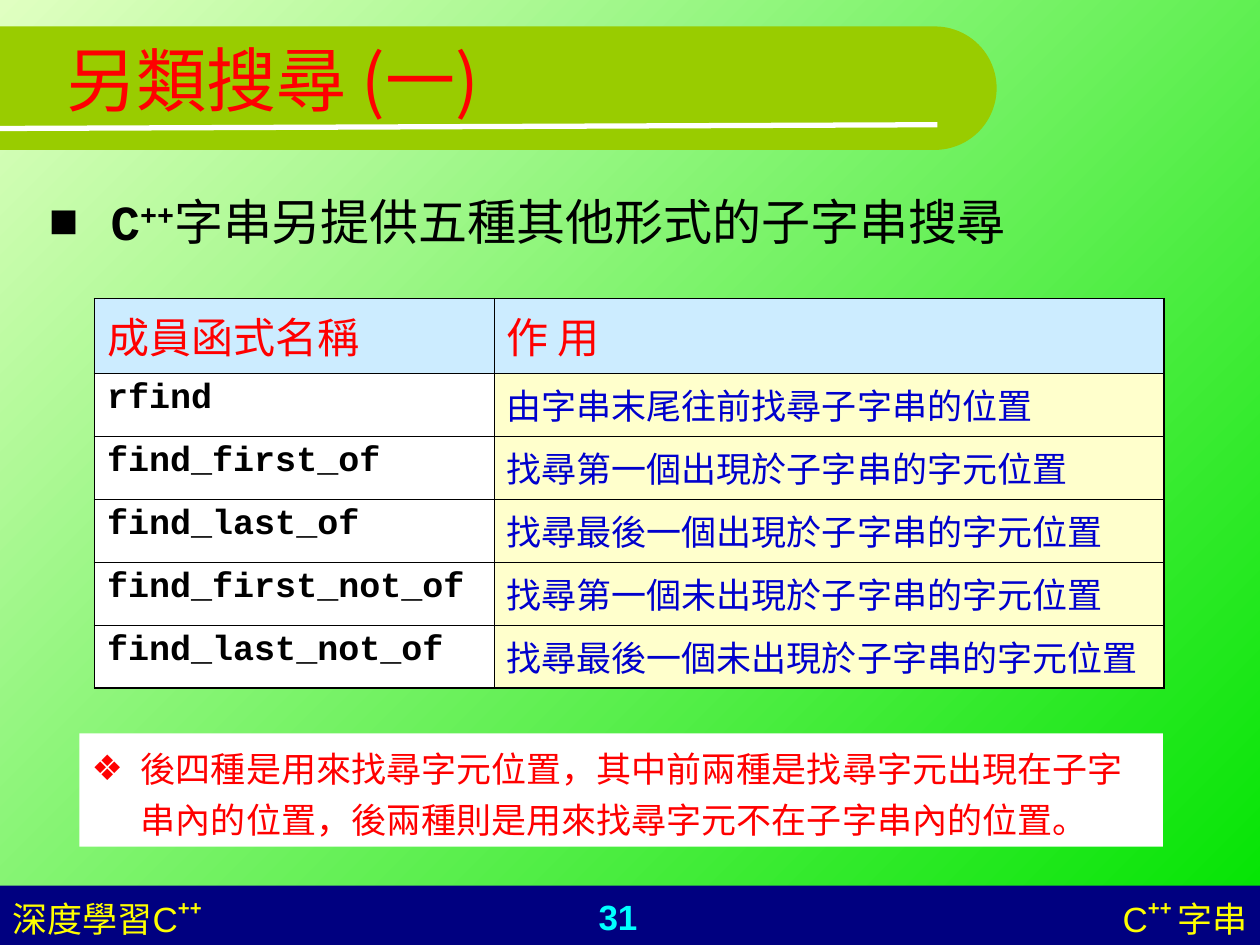
from math import cos, pi, sin
from lxml.etree import SubElement
from pptx import Presentation
from pptx.dml.color import RGBColor
from pptx.enum.shapes import MSO_CONNECTOR, MSO_SHAPE
from pptx.enum.text import MSO_ANCHOR, PP_ALIGN
from pptx.oxml.ns import qn
from pptx.util import Inches, Pt

LIGHT = RGBColor(0xE0, 0xFF, 0xC1)
GREEN = RGBColor(0x00, 0xE4, 0x00)
OLIVE = RGBColor(0x99, 0xCC, 0x00)
NAVY = RGBColor(0x00, 0x00, 0x80)
BLUE = RGBColor(0x00, 0x00, 0xCC)
CYAN = RGBColor(0x00, 0xFF, 0xFF)
SKY = RGBColor(0xCC, 0xEC, 0xFF)
CREAM = RGBColor(0xFF, 0xFF, 0xCC)
YELLOW = RGBColor(0xFF, 0xFF, 0x00)
RED = RGBColor(0xFF, 0x00, 0x00)
WHITE = RGBColor(0xFF, 0xFF, 0xFF)
BLACK = RGBColor(0x00, 0x00, 0x00)
SANS, MONO = "Arial", "Courier New"


def write(para, runs, size, face, color):
    """Fill a paragraph with (text, bold, raise in percent) runs."""
    para.font.size = Pt(size)
    para.font.name = face
    para.font.color.rgb = color
    for text, bold, lift in runs:
        run = para.add_run()
        run.text = text
        run.font.bold = bold
        if lift:
            run.font._element.set("baseline", str(lift * 1000))


def bullet(para, char, color, indent):
    """Give a paragraph a hanging bullet."""
    props = para._p.get_or_add_pPr()
    props.set("marL", str(Inches(indent)))
    props.set("indent", str(-Inches(indent)))
    tint = SubElement(props, qn("a:buClr"))
    SubElement(tint, qn("a:srgbClr"), val=str(color))
    SubElement(props, qn("a:buFont"), typeface=SANS)
    SubElement(props, qn("a:buChar"), char=char)


prs = Presentation()
prs.slide_width, prs.slide_height = Inches(10), Inches(7.5)
slide = prs.slides.add_slide(prs.slide_layouts[6])
shapes = slide.shapes

# Background
back = slide.background.fill
back.gradient()
back.gradient_angle = 315
for stop, color in zip(back.gradient_stops, (LIGHT, GREEN)):
    stop.color.rgb = color

# Footer bar
bar = shapes.add_shape(MSO_SHAPE.RECTANGLE, 0, Inches(7.03), Inches(10), Inches(0.47))
bar.fill.solid()
bar.fill.fore_color.rgb = NAVY

# Title band with a round right end
rad, mid, end = 0.49, 0.7, 7.42
arc = [(end + rad * cos(a), mid + rad * sin(a))
       for a in (pi * (i / 48 - 0.5) for i in range(49))]
path = shapes.build_freeform(0, Inches(mid - rad))
path.add_line_segments([(Inches(x), Inches(y)) for x, y in arc + [(0, mid + rad)]])
band = path.convert_to_shape()
band.fill.solid()
band.fill.fore_color.rgb = OLIVE

# White rule under the title
rule = shapes.add_connector(MSO_CONNECTOR.STRAIGHT, 0, Inches(1.02), Inches(7.44), Inches(0.99))
rule.line.color.rgb = WHITE
rule.line.width = Pt(3)
SubElement(rule._element.spPr, qn("a:effectLst"))

# Footer, title and lead text
texts = [
    ((3.74, 7.06, 2.33, 0.7), PP_ALIGN.CENTER, [("31", True, 0)], 20, SANS, CYAN),
    ((7.2, 7.06, 2.8, 0.44), PP_ALIGN.RIGHT,
     [("C", False, 0), ("++ ", True, 46), ("字串", False, 0)], 20, SANS, YELLOW),
    ((0, 7.06, 2.33, 0.44), PP_ALIGN.LEFT,
     [("深度學習C", False, 0), ("++", True, 46)], 20, SANS, YELLOW),
    ((0.43, 0, 9, 1.25), PP_ALIGN.LEFT,
     [("另類搜尋 ", False, 0), ("(一)", False, 0)], 40, SANS, RED),
    ((0.29, 1.47, 9.15, 0.71), PP_ALIGN.LEFT,
     [("C", True, 0), ("++", True, 30), ("字串另提供五種其他形式的子字串搜尋", False, 0)],
     28, MONO, BLACK),
]
for place, align, runs, size, face, color in texts:
    frame = shapes.add_textbox(*map(Inches, place)).text_frame
    frame.word_wrap = True
    para = frame.paragraphs[0]
    para.alignment = align
    if size == 28:
        bullet(para, "■", BLACK, 0.49)
    write(para, runs, size, face, color)
    if size == 40:
        frame.vertical_anchor = MSO_ANCHOR.MIDDLE
        para.runs[1].font.name = "Noto Sans CJK SC"

# Table of member functions
rows = [
    ("成員函式名稱", "作 用"),
    ("rfind", "由字串末尾往前找尋子字串的位置"),
    ("find_first_of", "找尋第一個出現於子字串的字元位置"),
    ("find_last_of", "找尋最後一個出現於子字串的字元位置"),
    ("find_first_not_of", "找尋第一個未出現於子字串的字元位置"),
    ("find_last_not_of", "找尋最後一個未出現於子字串的字元位置"),
]
last = len(rows) - 1
table = shapes.add_table(len(rows), 2, Inches(0.75), Inches(2.37),
                         Inches(8.49), Inches(3.09)).table
table.first_row = table.horz_banding = False
table.columns[0].width, table.columns[1].width = Inches(3.17), Inches(5.32)
for r, row in enumerate(rows):
    table.rows[r].height = Inches(0.5 if r else 0.59)
    for c, text in enumerate(row):
        cell = table.cell(r, c)
        # Outer edges are thicker than inner ones
        props = cell._tc.get_or_add_tcPr()
        edges = {"lnL": c == 0, "lnR": c == 1, "lnT": r == 0, "lnB": r == last}
        for tag, outer in edges.items():
            edge = SubElement(props, qn("a:" + tag), w=str(Pt(1.08 if outer else 0.45)))
            SubElement(SubElement(edge, qn("a:solidFill")), qn("a:srgbClr"), val=str(BLACK))
        if r == 0:
            fill, color, size = SKY, RED, 24
        else:
            fill, color, size = ((WHITE, BLACK, 20), (CREAM, BLUE, 20))[c]
        cell.fill.solid()
        cell.fill.fore_color.rgb = fill
        write(cell.text_frame.paragraphs[0], [(text, r > 0 and c == 0, 0)], size, MONO, color)

# Note box
note = shapes.add_shape(MSO_SHAPE.RECTANGLE, Inches(0.63), Inches(5.82), Inches(8.6), Inches(0.9))
note.fill.solid()
note.fill.fore_color.rgb = WHITE
frame = note.text_frame
frame.word_wrap = True
frame.vertical_anchor = MSO_ANCHOR.TOP
para = frame.paragraphs[0]
para.alignment = PP_ALIGN.LEFT
para.line_spacing = 1.2
bullet(para, "❖", RED, 0.39)
write(para, [("後四種是用來找尋字元位置，其中前兩種是找尋字元出現在子字串內的位置，"
              "後兩種則是用來找尋字元不在子字串內的位置", False, 0), ("。", False, 0)],
      20, MONO, RED)
para.runs[1].font.name = "Noto Sans CJK TC"

# Plain look for the filled shapes
for shape in (bar, band, note):
    shape.line.fill.background()
    shape.shadow.inherit = False

prs.save("out.pptx")
